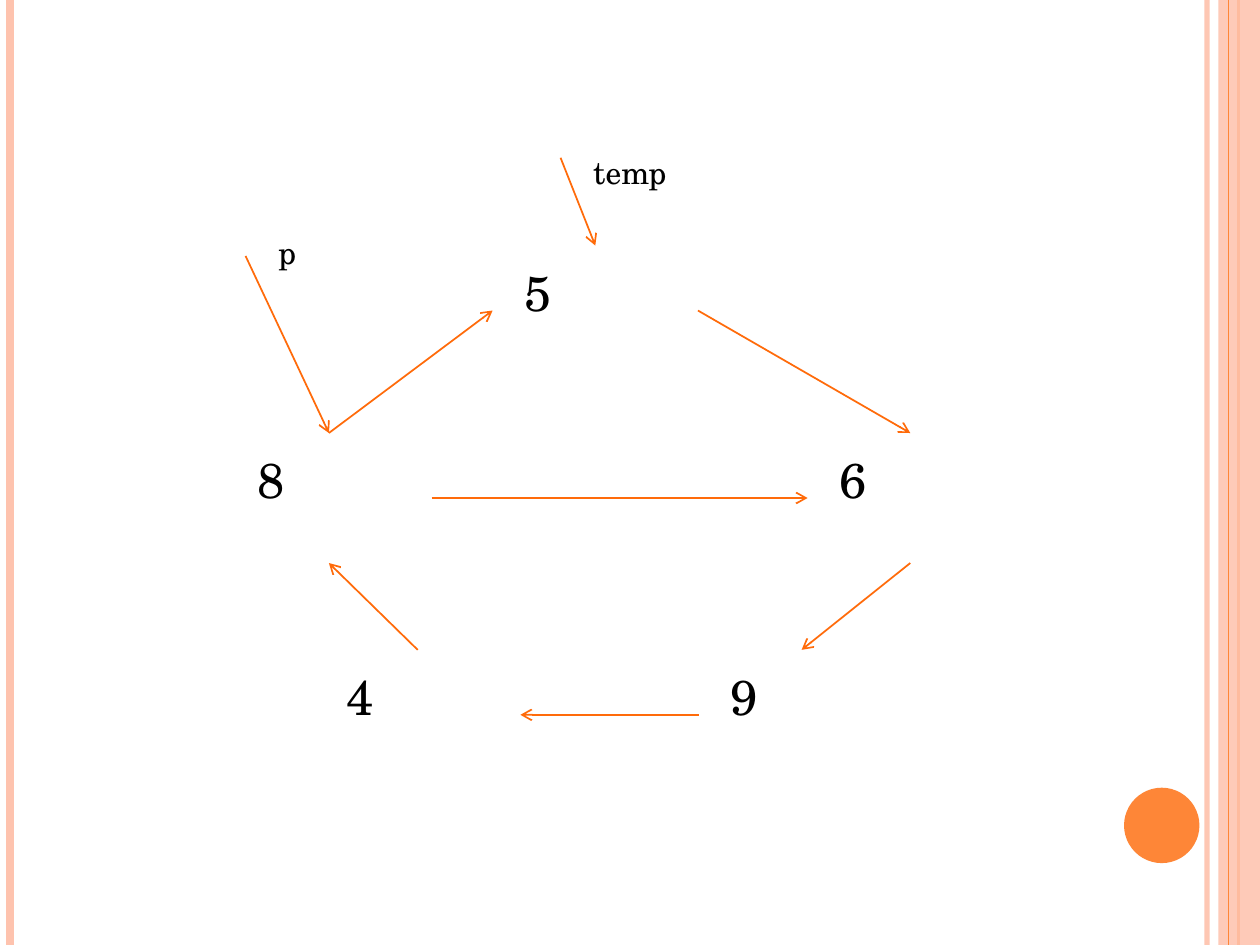
from lxml.etree import SubElement
from pptx import Presentation
from pptx.dml.color import RGBColor
from pptx.enum.shapes import MSO_CONNECTOR as Link, MSO_SHAPE as Preset
from pptx.enum.text import MSO_AUTO_SIZE as Fit
from pptx.oxml.ns import qn
from pptx.util import Cm, Pt

COLORS = {"peach": "FEC3AE", "orange": "FE8637", "arrow": "FF6B0A", "text": "000000"}
FONT = "TeX Gyre Schola"
WIDTH, HEIGHT = 25.4, 19.05

LEFT_RULES = [(24.33, "peach", 3, 93), (0.2, "peach", 4.5, 100), (24.97, "orange", 1.5, 100)]
EDGE_RULE = (24.77, "orange", 0.75, 100)
BAND = (24.56, 0, 0.84, HEIGHT)
DOT = (22.66, 15.88, 1.52, 1.52)

NODE_HALF_WIDTH, NODE_HALF_HEIGHT = 2.07, 1.31
NODES = {
    "5": (12, 6.26),
    "6": (18.35, 10.04),
    "9": (16.16, 14.41),
    "4": (8.42, 14.41),
    "8": (6.63, 10.04),
}
SIDES = {"top": (0, -1), "left": (-1, 0), "bottom": (0, 1), "right": (1, 0)}
EDGES = [
    ("5", "right", "6", "top"),
    ("9", "left", "4", "right"),
    ("4", "top", "8", "bottom"),
    ("8", "top", "5", "left"),
    ("6", "bottom", "9", "top"),
    ("8", "right", "6", "left"),
]
POINTERS = [
    ("p", (4.95, 5.16), "8", (5.36, 4.57), 0.89),
    ("temp", (11.3, 3.18), "5", (11.71, 2.97), 2.03),
]

deck = Presentation()
deck.slide_width, deck.slide_height = Cm(WIDTH), Cm(HEIGHT)
slide = deck.slides.add_slide(deck.slide_layouts[6])


def paint(fill, color, opacity=100):
    fill.solid()
    fill.fore_color.rgb = RGBColor.from_string(COLORS[color])
    if opacity < 100:
        tint = fill._xPr.find(qn("a:solidFill"))[0]
        SubElement(tint, qn("a:alpha"), val=str(opacity * 1000))


def add_line(start, end, color, weight, opacity=100, arrow=False):
    line = slide.shapes.add_connector(Link.STRAIGHT, *map(Cm, (*start, *end)))
    line.line.width = Pt(weight)
    paint(line.line.fill, color, opacity)
    if arrow:
        SubElement(line.line._get_or_add_ln(), qn("a:tailEnd"), type="arrow")
    SubElement(line._element.spPr, qn("a:effectLst"))


def add_rule(x, color, weight, opacity):
    add_line((x, 0), (x, HEIGHT), color, weight, opacity)


def add_decoration(preset, box, color, opacity=100):
    shape = slide.shapes.add_shape(preset, *map(Cm, box))
    shape.shadow.inherit = False
    shape.line.fill.background()
    paint(shape.fill, color, opacity)


def add_label(text, box, size):
    frame = slide.shapes.add_textbox(*map(Cm, box)).text_frame
    for name, value in {"word_wrap": False, "auto_size": Fit.SHAPE_TO_FIT_TEXT, "text": text}.items():
        setattr(frame, name, value)
    font = frame.paragraphs[0].runs[0].font
    for name, value in {"name": FONT, "size": Pt(size)}.items():
        setattr(font, name, value)
    font.color.rgb = RGBColor.from_string(COLORS["text"])


def anchor(node, side):
    (x, y), (dx, dy) = NODES[node], SIDES[side]
    return x + dx * NODE_HALF_WIDTH, y + dy * NODE_HALF_HEIGHT


for rule in LEFT_RULES:
    add_rule(*rule)
add_decoration(Preset.RECTANGLE, BAND, "peach", 87)
add_rule(*EDGE_RULE)
add_decoration(Preset.OVAL, DOT, "orange")

for source, exit_side, target, entry_side in EDGES:
    add_line(anchor(source, exit_side), anchor(target, entry_side), "arrow", 1, arrow=True)
for value, (x, y) in NODES.items():
    add_label(value, (x - 1.68, y - 1.1, 1.07, 1.45), 28)
for pointer, start, node, corner, width in POINTERS:
    add_line(start, anchor(node, "top"), "arrow", 1, arrow=True)
    add_label(pointer, (*corner, width, 1.02), 18)

deck.save("out.pptx")
